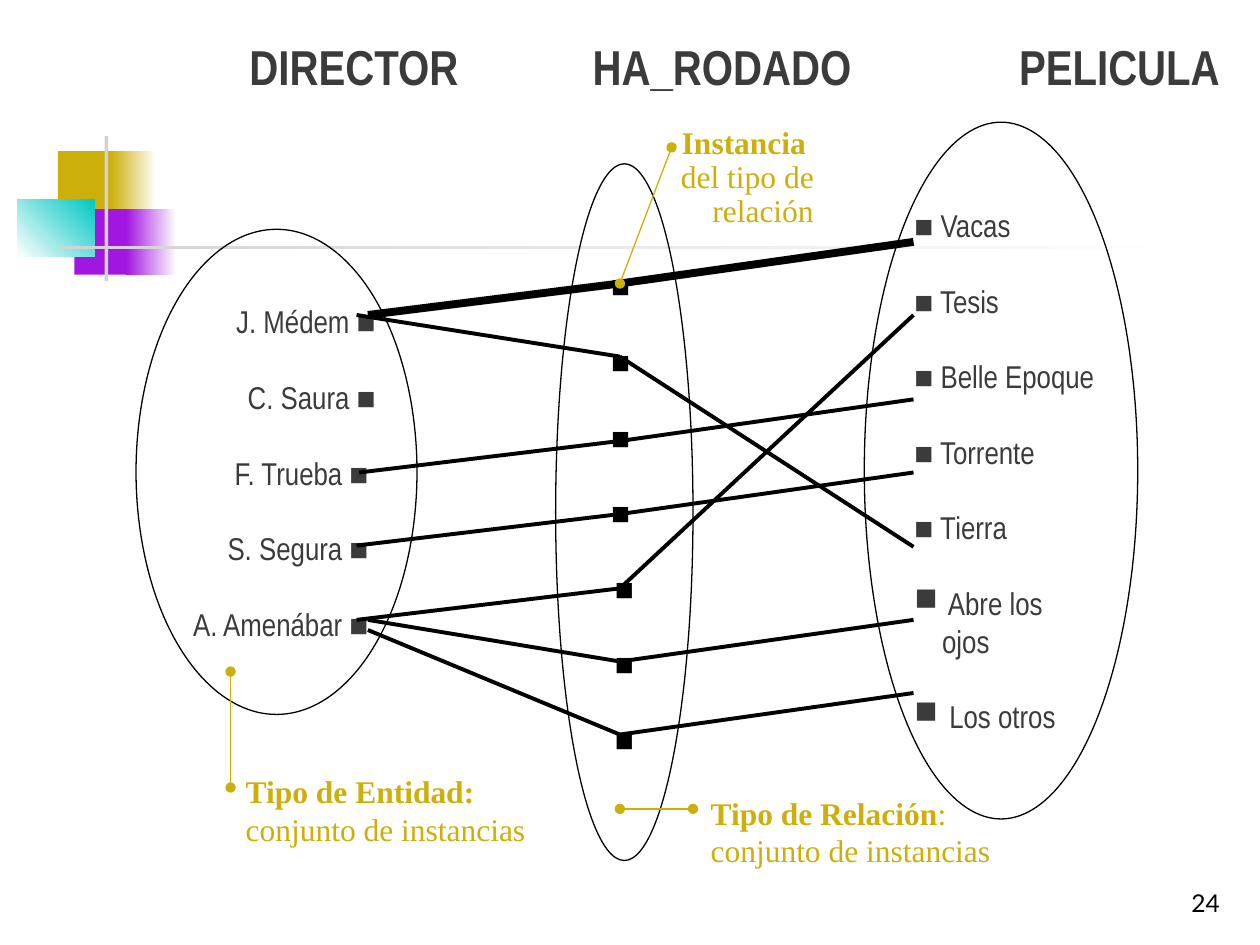
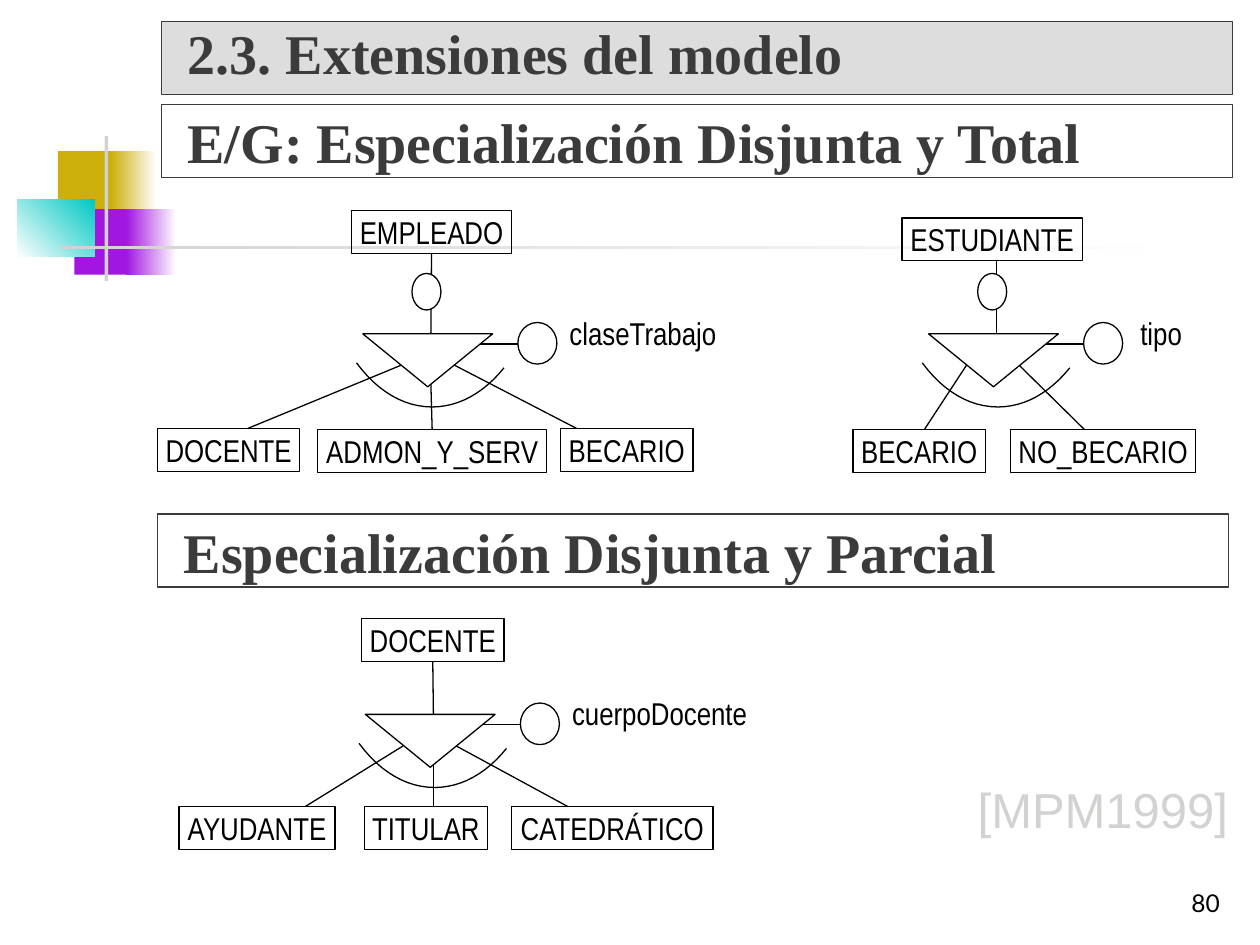
from lxml import etree
from pptx import Presentation
from pptx.dml.color import RGBColor
from pptx.enum.shapes import MSO_CONNECTOR, MSO_SHAPE
from pptx.enum.text import MSO_ANCHOR, MSO_AUTO_SIZE, PP_ALIGN
from pptx.oxml.ns import qn
from pptx.util import Inches, Pt

RECTANGLE, OVAL = MSO_SHAPE.RECTANGLE, MSO_SHAPE.OVAL
TRIANGLE = MSO_SHAPE.ISOSCELES_TRIANGLE
STRAIGHT = MSO_CONNECTOR.STRAIGHT
TOP, MIDDLE, BOTTOM = MSO_ANCHOR.TOP, MSO_ANCHOR.MIDDLE, MSO_ANCHOR.BOTTOM
LEFT, CENTER, RIGHT = PP_ALIGN.LEFT, PP_ALIGN.CENTER, PP_ALIGN.RIGHT
NO_AUTOFIT = MSO_AUTO_SIZE.NONE

COLORS = {
    "gold": "CCAF0A", "purple": "A116E0", "teal": "00C8C3", "silver": "D4D2D0",
    "white": "FFFFFF", "black": "000000", "ink": "3B3B3B", "band": "DDDDDD",
}
NARROW, SERIF = "Arial Narrow", "Times New Roman"
LABEL_INSETS = (0.06, 0.01, 0.06, 0.01)
BAND_INSETS = (0.21, 0.05, 0.1, 0.05)


def style_shape(shape, font=NARROW, size=18, color="black", bold=False, align=LEFT, anchor=MIDDLE,
                insets=(0.1, 0.05, 0.1, 0.05), wrap=True, fill=None, line=None):
    shape.shadow.inherit = False
    if fill:
        shape.fill.solid()
        shape.fill.fore_color.rgb = RGBColor.from_string(COLORS[fill])
    else:
        shape.fill.background()
    if line:
        shape.line.color.rgb = RGBColor.from_string(COLORS[line])
        shape.line.width = Pt(0.75)
    else:
        shape.line.fill.background()
    frame = shape.text_frame
    frame.auto_size = NO_AUTOFIT
    frame.word_wrap = wrap
    frame.vertical_anchor = anchor
    frame.margin_left, frame.margin_top, frame.margin_right, frame.margin_bottom = map(Inches, insets)
    for paragraph in frame.paragraphs:
        paragraph.alignment = align
        for run in paragraph.runs:
            run.font.name = font
            run.font.size = Pt(size)
            run.font.bold = bold
            run.font.color.rgb = RGBColor.from_string(COLORS[color])


def add_line(slide, start, end, color="black", width=0.75, oval_ends=False):
    connector = slide.shapes.add_connector(STRAIGHT, *map(Inches, start + end))
    connector.line.color.rgb = RGBColor.from_string(COLORS[color])
    connector.line.width = Pt(width)
    properties = connector._element.spPr
    if oval_ends:
        for tag in ("a:headEnd", "a:tailEnd"):
            etree.SubElement(properties.find(qn("a:ln")), qn(tag), type="oval")
    etree.SubElement(properties, qn("a:effectLst"))
    return connector


presentation = Presentation()
presentation.slide_width = Inches(10)
presentation.slide_height = Inches(7.5)

decorations = [
    ((0.46, 1.2, 0.48, 0.52), ["gold"], 0),
    ((0.88, 1.2, 0.36, 0.52), ["gold", "white"], 0),
    ((0.59, 1.66, 0.46, 0.52), ["purple"], 0),
    ((1, 1.66, 0.4, 0.52), ["purple", "white"], 0),
    ((0.14, 1.58, 0.61, 0.46), ["white", "teal"], 45),
    ((0.83, 1.08, 0.03, 1.15), ["silver"], 0),
    ((0.48, 1.95, 9, 0.03), ["silver", "white"], 0),
]
slides = []
for number in ("24", "80"):
    slide = presentation.slides.add_slide(presentation.slide_layouts[5])
    slides.append(slide)
    for box, names, angle in decorations:
        shape = slide.shapes.add_shape(RECTANGLE, *map(Inches, box))
        style_shape(shape, fill=names[0])
        if len(names) > 1:
            shape.fill.gradient()
            shape.fill.gradient_angle = angle
            for stop, name in zip(shape.fill.gradient_stops, names):
                stop.color.rgb = RGBColor.from_string(COLORS[name])
    shape = slide.shapes.add_textbox(*map(Inches, (7.7, 6.83, 2.08, 0.5)))
    shape.text_frame.text = number
    style_shape(shape, font="Lato", size=14, align=RIGHT, anchor=BOTTOM)

instances_slide, extensions_slide = slides

title = instances_slide.shapes.title
title.left, title.top, title.width, title.height = map(Inches, (1.88, 0.3, 7.9, 0.51))
title.text_frame.text = "DIRECTOR\tHA_RODADO\tPELICULA"
style_shape(title, size=28, color="ink", bold=True, anchor=BOTTOM)
tab_list = etree.SubElement(title.text_frame.paragraphs[0]._p.get_or_add_pPr(), qn("a:tabLst"))
for position, alignment in ((0.42, "l"), (3.75, "ctr"), (7.71, "r")):
    etree.SubElement(tab_list, qn("a:tab"), pos=str(Inches(position)), algn=alignment)

directors = ["J. Médem ■", "C. Saura ■", "F. Trueba ■ ", "S. Segura ■ ", "A. Amenábar ■ "]
instance_marks = ["■ "] * 4 + ["■"] * 3
films = ["■ Vacas", "■ Tesis", "■ Belle Epoque", "■ Torrente", "■ Tierra", " Abre los\vojos", " Los otros"]
entity_sets = [
    ((1.08, 1.82, 2.23, 3.85), directors, RIGHT, "ink", (0, 0.01, 0, 0)),
    ((4.41, 1.3, 1.09, 5.53), instance_marks, CENTER, "black", (0, 0, 0, 0)),
    ((6.86, 0.97, 2.17, 5.53), films, LEFT, "ink", (0.08, 0, 0, 0)),
]
for box, members, align, color, insets in entity_sets:
    shape = instances_slide.shapes.add_shape(OVAL, *map(Inches, box))
    shape.text_frame.text = "\n".join(members)
    style_shape(shape, color=color, align=align, insets=insets, line="black")
    for paragraph in shape.text_frame.paragraphs[1:]:
        paragraph.space_before = Pt(21.6)
    for paragraph, member in zip(shape.text_frame.paragraphs, members):
        if "■" not in member:
            properties = paragraph._p.get_or_add_pPr()
            properties.set("marL", str(Inches(0.22)))
            properties.set("indent", str(Inches(-0.22)))
            etree.SubElement(properties, qn("a:buChar"), char="■")

instance_x, film_x = 4.92, 7.25
instance_heights = [2.25, 2.83, 3.5, 4.08, 4.67, 5.25, 5.83]
film_heights = [height - 0.33 for height in instance_heights]
director_points = [(2.92, 2.5), (2.83, 2.5), (2.85, 3.75), (2.83, 4.33), (2.83, 4.92), (2.92, 4.92), (2.92, 5)]
film_indexes = [0, 4, 2, 3, 1, 5, 6]
for row, (director, film) in enumerate(zip(director_points, film_indexes)):
    instance = (instance_x, instance_heights[row])
    width = 4.5 if row == 0 else 2.25
    add_line(instances_slide, director, instance, width=width)
    add_line(instances_slide, instance, (film_x, film_heights[film]), width=width)

callouts = [
    ((5.25, 6.25, 2.76, 0.66), ["Tipo de Relación", ": "], "conjunto de instancias",
     LEFT, (0.39, 0.05, 0, 0.01), 1, (4.92, 6.42), (5.5, 6.42)),
    ((1.56, 6.08, 2.94, 0.66), ["Tipo de Entidad: "], "conjunto de instancias",
     LEFT, (0.39, 0.05, 0, 0.01), 1, (1.83, 5.33), (1.83, 6.25)),
    ((5, 1, 1.46, 0.84), ["Instancia "], "del tipo de relación",
     RIGHT, (0.08, 0.01, 0, 0.01), 0.9, (5.33, 1.17), (4.92, 2.25)),
]
for box, heading, explanation, align, insets, spacing, start, end in callouts:
    shape = instances_slide.shapes.add_textbox(*map(Inches, box))
    paragraph = shape.text_frame.paragraphs[0]
    for text in heading:
        paragraph.add_run().text = text
    paragraph.add_line_break()
    paragraph.add_run().text = explanation
    paragraph.line_spacing = spacing
    style_shape(shape, font=SERIF, color="gold", align=align, anchor=TOP, insets=insets)
    paragraph.runs[0].font.bold = True
    add_line(instances_slide, start, end, color="gold", oval_ends=True)

shapes = extensions_slide.shapes
title = shapes.title
title.left, title.top, title.width, title.height = map(Inches, (1.28, 0.17, 8.5, 0.58))
title.text_frame.text = "2.3. Extensiones del modelo"
style_shape(title, font=SERIF, size=32, color="ink", bold=True, insets=BAND_INSETS, fill="band", line="ink")
title.text_frame.paragraphs[0].line_spacing = 0.8

for left, top, text in (
    (1.28, 0.83, "E/G: Especialización Disjunta y Total"),
    (1.25, 4.08, "Especialización Disjunta y Parcial"),
):
    shape = shapes.add_shape(RECTANGLE, *map(Inches, (left, top, 8.5, 0.58)))
    shape.text_frame.text = text
    style_shape(shape, font=SERIF, size=32, color="ink", bold=True, insets=BAND_INSETS, line="ink")

arc_curves = [
    [(1.12, 0.27), (0.96, 0.47), (0.76, 0.58), (0.55, 0.58)],
    [(0.55, 0.58), (0.33, 0.58), (0.12, 0.46), (-0.05, 0.23)],
]
arc_points = []
for curve in arc_curves:
    for step in range(13):
        t = step / 12
        weights = ((1 - t) ** 3, 3 * t * (1 - t) ** 2, 3 * t ** 2 * (1 - t), t ** 3)
        arc_points.append([sum(w * point[axis] for w, point in zip(weights, curve)) for axis in (0, 1)])

box_height = 0.34
specializations = [
    {"origin": (2.88, 2.65), "total": True, "parent": ("EMPLEADO", 2.79, 1.67, 1.27),
     "attribute": ("claseTrabajo", 4.46, 1.29),
     "children": [("DOCENTE", 1.25, 3.4, 1.13, 0.3, (1.92, 3.42)),
                  ("ADMON_Y_SERV", 2.52, 3.41, 1.82, 0.54, (3.42, 3.41)),
                  ("BECARIO", 4.45, 3.4, 1.05, 0.73, (4.73, 3.48))]},
    {"origin": (7.37, 2.65), "total": True, "parent": ("ESTUDIANTE", 7.16, 1.73, 1.43),
     "attribute": ("tipo", 8.99, 0.45),
     "children": [("BECARIO", 6.77, 3.41, 1.05, 0.3, (7.29, 3.48)),
                  ("NO_BECARIO", 8.02, 3.41, 1.47, 0.72, (8.76, 3.56))]},
    {"origin": (2.9, 5.67), "total": False, "parent": ("DOCENTE", 2.87, 4.91, 1.13),
     "attribute": ("cuerpoDocente", 4.48, 1.51),
     "children": [("AYUDANTE", 1.42, 6.4, 1.24, 0.3, (2.28, 6.49)),
                  ("TITULAR", 2.89, 6.4, 0.98, 0.54, (3.44, 6.49)),
                  ("CATEDRÁTICO", 4.06, 6.4, 1.6, 0.72, (4.67, 6.49))]},
]
for specialization in specializations:
    x, y = specialization["origin"]
    stem_x = x + 0.54

    name, left, top, width = specialization["parent"]
    parent = shapes.add_shape(RECTANGLE, *map(Inches, (left, top, width, box_height)))
    parent.text_frame.text = name
    style_shape(parent, align=CENTER, insets=LABEL_INSETS, wrap=False, line="black")
    stem = add_line(extensions_slide, (stem_x, top + box_height), (stem_x, y))
    if abs(left + width / 2 - stem_x) < 0.02:
        stem.begin_connect(parent, 2)

    triangle = shapes.add_shape(TRIANGLE, *map(Inches, (x, y, 1.03, 0.42)))
    style_shape(triangle, line="black")
    triangle._element.spPr.find(qn("a:xfrm")).set("flipV", "1")

    points = [(Inches(x + dx), Inches(y + dy)) for dx, dy in arc_points]
    builder = shapes.build_freeform(*points[0])
    builder.add_line_segments(points[1:], close=False)
    style_shape(builder.convert_to_shape(), line="black")

    for name, left, top, width, branch, end in specialization["children"]:
        branch_y = y + (0.4 if branch == 0.54 else 0.25)
        connector = add_line(extensions_slide, (x + branch, branch_y), end)
        child = shapes.add_shape(RECTANGLE, *map(Inches, (left, top, width, box_height)))
        child.text_frame.text = name
        style_shape(child, align=CENTER, insets=LABEL_INSETS, wrap=False, fill="white", line="black")
        if end[1] == top and abs(left + width / 2 - end[0]) < 0.02:
            connector.end_connect(child, 0)

    add_line(extensions_slide, (x + 0.93, y + 0.08), (x + 1.23, y + 0.08))
    circle = shapes.add_shape(OVAL, *map(Inches, (x + 1.23, y - 0.09, 0.31, 0.33)))
    style_shape(circle, line="black")
    name, left, width = specialization["attribute"]
    label = shapes.add_textbox(*map(Inches, (left, y - 0.17, width, 0.32)))
    label.text_frame.text = name
    style_shape(label, anchor=TOP, insets=LABEL_INSETS, wrap=False)

    if specialization["total"]:
        total_mark = shapes.add_shape(OVAL, *map(Inches, (x + 0.39, y - 0.48, 0.23, 0.29)))
        style_shape(total_mark, fill="white", line="black")

citation = shapes.add_textbox(*map(Inches, (7.76, 6.14, 1.99, 0.53)))
citation.text_frame.text = "[MPM1999]"
style_shape(citation, font="Arial", size=28, color="silver", anchor=TOP, insets=(0, 0.05, 0, 0.01), wrap=False)

presentation.save("out.pptx")
